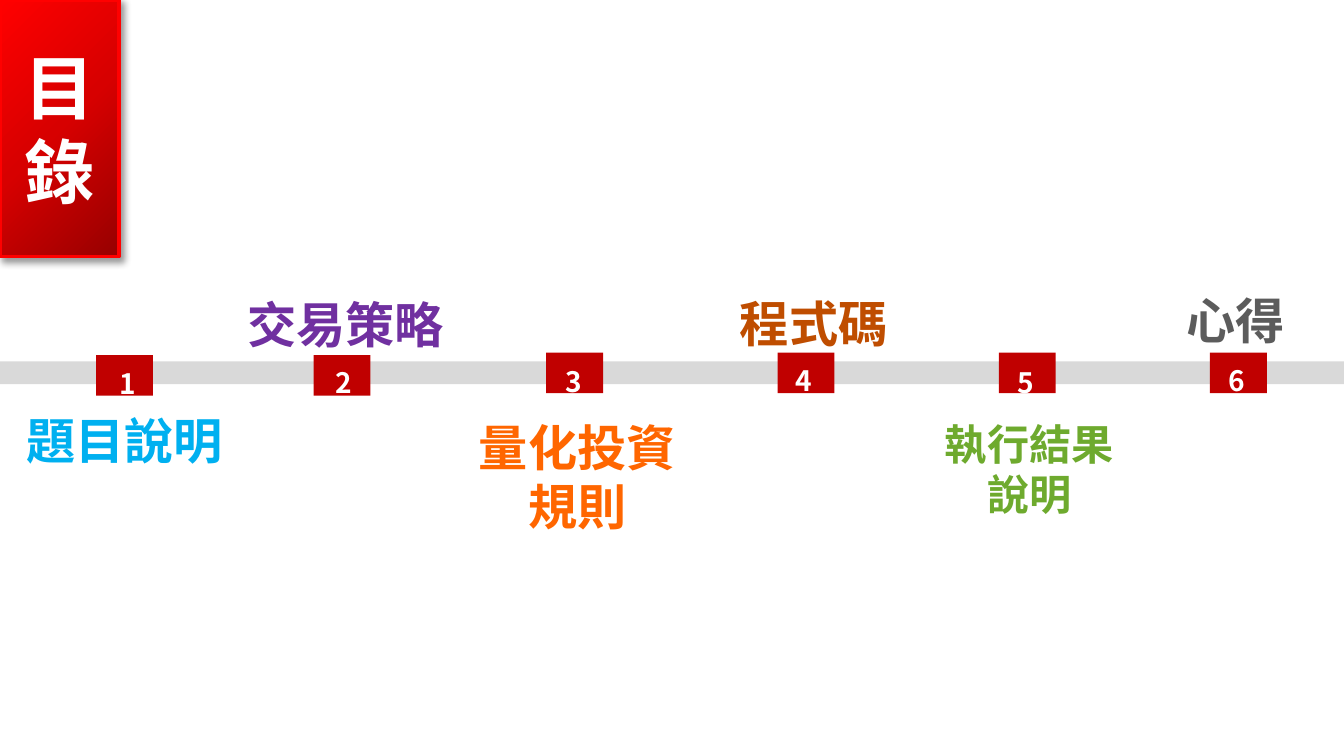
from lxml import etree
from pptx import Presentation
from pptx.dml.color import RGBColor
from pptx.enum import shapes, text
from pptx.oxml import ns, parse_xml
from pptx.util import Inches, Pt

FONT = "Noto Sans CJK SC"
RED = "C00000"
WHITE = "FFFFFF"

# Number, marker left and top, number left and top
MARKERS = [
    ("1", 0.76, 2.81, 0.75, 2.72),
    ("2", 2.48, 2.81, 2.46, 2.71),
    ("3", 4.32, 2.79, 4.28, 2.7),
    ("4", 6.15, 2.79, 6.1, 2.69),
    ("5", 7.9, 2.79, 7.85, 2.71),
    ("6", 9.57, 2.79, 9.52, 2.69),
]

# Wording, left, top, width, height, size, colour
TOPICS = [
    ("題目說明", -0.06, 3.2, 2.09, 0.57, 28, "00B0F0"),
    ("交易策略", 1.69, 2.28, 2.09, 0.57, 28, "7030A0"),
    ("量化投資規則", 3.66, 3.25, 1.81, 1.04, 28, "FF6600"),
    ("程式碼", 5.39, 2.27, 2.09, 0.57, 28, "BF4D00"),
    ("執行結果說明", 7.28, 3.26, 1.72, 0.91, 24, "6EAA2E"),
    ("心得", 8.73, 2.25, 2.09, 0.57, 28, "5C5C5C"),
]

PANEL_GRADIENT = f"""<a:gradFill {ns.nsdecls("a")} rotWithShape="1"><a:gsLst>
<a:gs pos="0"><a:srgbClr val="970000"/></a:gs>
<a:gs pos="50000"><a:srgbClr val="D70000"/></a:gs>
<a:gs pos="100000"><a:srgbClr val="FF0000"/></a:gs></a:gsLst>
<a:path path="circle"><a:fillToRect l="100000" t="100000"/></a:path></a:gradFill>"""

PANEL_SHADOW = f"""<a:effectLst {ns.nsdecls("a")}>
<a:outerShdw blurRad="{Pt(4)}" dist="{Pt(3)}" dir="2700000" algn="tl" rotWithShape="0">
<a:srgbClr val="000000"><a:alpha val="40000"/></a:srgbClr></a:outerShdw></a:effectLst>"""


def colour(value):
    return RGBColor.from_string(value)


def add_span(para, wording, size, value):
    """Add one bold centred run in the slide's font."""
    para.alignment = text.PP_ALIGN.CENTER
    span = para.add_run()
    span.text = wording
    span.font.size = Pt(size)
    span.font.bold = True
    span.font.name = FONT
    span.font.color.rgb = colour(value)
    properties = span.font._element
    etree.SubElement(properties, ns.qn("a:ea"), typeface=FONT)


def add_block(page, left, top, width, height, value):
    block = page.shapes.add_shape(shapes.MSO_SHAPE.RECTANGLE, Inches(left),
                                  Inches(top), Inches(width), Inches(height))
    block.shadow.inherit = False
    block.fill.solid()
    block.fill.fore_color.rgb = colour(value)
    block.line.fill.background()


def add_label(page, wording, left, top, width, height, size, value, spacing=None):
    box = page.shapes.add_textbox(Inches(left), Inches(top), Inches(width), Inches(height))
    frame = box.text_frame
    frame.word_wrap = True
    frame.auto_size = text.MSO_AUTO_SIZE.SHAPE_TO_FIT_TEXT
    para = frame.paragraphs[0]
    para.line_spacing = spacing
    add_span(para, wording, size, value)


def format_title(page):
    """Turn the title into the red panel with one character per line."""
    title = page.shapes.title
    title.left, title.top = Inches(0), Inches(0)
    title.width, title.height = Inches(0.94), Inches(2.03)
    title._element.spPr.append(parse_xml(PANEL_GRADIENT))
    title.line.color.rgb = colour("FF0000")
    title.line.width = Pt(2.25)
    title._element.spPr.append(parse_xml(PANEL_SHADOW))
    frame = title.text_frame
    frame.word_wrap = True
    frame.auto_size = text.MSO_AUTO_SIZE.NONE
    frame.vertical_anchor = text.MSO_ANCHOR.MIDDLE
    add_span(frame.paragraphs[0], "目", 40, WHITE)
    add_span(frame.add_paragraph(), "錄", 40, WHITE)


def main():
    deck = Presentation()
    deck.slide_width, deck.slide_height = Inches(10.63), Inches(5.91)
    page = deck.slides.add_slide(deck.slide_layouts.get_by_name("Title Only"))
    format_title(page)
    add_block(page, 0, 2.86, 10.63, 0.18, "D9D9D9")
    for number, left, top, number_left, number_top in MARKERS:
        add_block(page, left, top, 0.45, 0.32, RED)
        add_label(page, number, number_left, number_top, 0.52, 0.46, 16, WHITE, spacing=1.5)
    for topic in TOPICS:
        add_label(page, *topic)
    deck.save("out.pptx")


if __name__ == "__main__":
    main()
